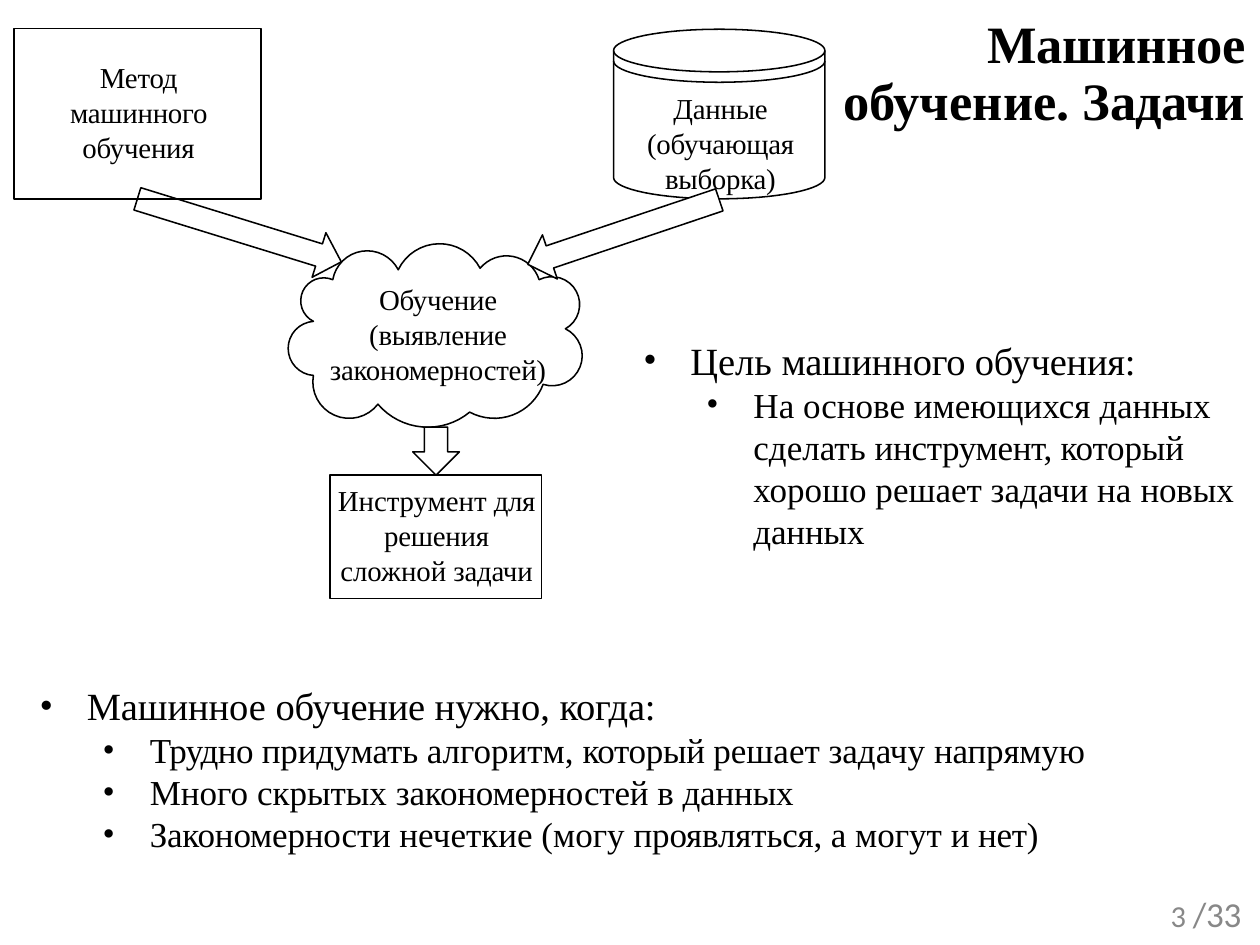
import math
from dataclasses import dataclass

import pptx
import pptx.dml.color
import pptx.enum.shapes
import pptx.enum.text
import pptx.oxml
import pptx.oxml.ns
import pptx.util
from lxml import etree

Cm = pptx.util.Cm
Pt = pptx.util.Pt
Kind = pptx.enum.shapes.MSO_SHAPE
Align = pptx.enum.text.PP_ALIGN
Point = tuple[float, float]

BLACK, WHITE, GREY = "000000", "FFFFFF", "888888"
SERIF = "Times New Roman"
LINE = 0.89


@dataclass
class Run:
    text: str
    space: float = 0
    size: float = 16.5
    font: str = SERIF
    tint: str = BLACK
    bold: bool = False
    raised: int = 0


@dataclass
class Para:
    runs: list[Run]
    left: float = 0.03
    indent: float = 0
    before: float = 0
    lead: float | pptx.util.Length | None = None
    align: Align = Align.LEFT
    level: int = 0
    bullet: bool = False


@dataclass
class Box:
    left: float
    top: float
    width: float
    height: float
    paras: list[Para]
    inset: float = 0.03


@dataclass
class Arrow:
    tail: Point
    tip: Point
    fill: str | None = None


def color(code: str) -> pptx.dml.color.RGBColor:
    return pptx.dml.color.RGBColor.from_string(code)


def style(shape, fill: str | None = None) -> None:
    shape.shadow.inherit = False
    shape.line.color.rgb = color(BLACK)
    shape.line.width = Pt(LINE)
    if fill:
        shape.fill.solid()
        shape.fill.fore_color.rgb = color(fill)
    else:
        shape.fill.background()


def add_run(line, run: Run) -> None:
    item = line.add_run()
    item.text = run.text
    font = item.font
    font.name, font.size, font.bold = run.font, Pt(run.size), run.bold
    font.color.rgb = color(run.tint)
    props = item._r.get_or_add_rPr()
    props.set("spc", str(round(run.space * 100)))
    if run.raised:
        props.set("baseline", str(run.raised))


def write(frame, paras: list[Para], inset: float) -> None:
    frame.word_wrap = True
    frame.vertical_anchor = pptx.enum.text.MSO_ANCHOR.TOP
    frame.margin_left = frame.margin_right = frame.margin_bottom = 0
    frame.margin_top = Cm(inset)
    for index, para in enumerate(paras):
        line = frame.add_paragraph() if index else frame.paragraphs[0]
        line.alignment, line.level = para.align, para.level
        props = line._p.get_or_add_pPr()
        props.set("marL", str(Cm(para.left)))
        props.set("indent", str(Cm(para.indent)))
        if para.bullet:
            face = etree.SubElement(props, pptx.oxml.ns.qn("a:buFont"))
            face.set("typeface", SERIF)
            mark = etree.SubElement(props, pptx.oxml.ns.qn("a:buChar"))
            mark.set("char", "•")
        line.space_before = Pt(para.before)
        if para.lead:
            line.line_spacing = para.lead
        for run in para.runs:
            add_run(line, run)


def add_text(shapes, box: Box) -> None:
    item = shapes.add_textbox(Cm(box.left), Cm(box.top), Cm(box.width), Cm(box.height))
    write(item.text_frame, box.paras, box.inset)


def add_rect(shapes, box: Box) -> None:
    item = shapes.add_shape(
        Kind.RECTANGLE, Cm(box.left), Cm(box.top), Cm(box.width), Cm(box.height))
    style(item)
    if box.paras:
        write(item.text_frame, box.paras, box.inset)


def add_arrow(shapes, arrow: Arrow, depth: float = 0.94) -> None:
    (x1, y1), (x2, y2) = arrow.tail, arrow.tip
    size = math.hypot(x2 - x1, y2 - y1)
    item = shapes.add_shape(
        Kind.RIGHT_ARROW, Cm((x1 + x2 - size) / 2), Cm((y1 + y2 - depth) / 2),
        Cm(size), Cm(depth))
    item.rotation = math.degrees(math.atan2(y2 - y1, x2 - x1))
    style(item, arrow.fill)


def add_path(shapes, paths: list[tuple[list[Point], bool]]) -> None:
    pen = None
    for points, closed in paths:
        first, *rest = [(Cm(x), Cm(y)) for x, y in points]
        if pen:
            pen.move_to(*first)
        else:
            pen = shapes.build_freeform(*first)
        pen.add_line_segments(rest, close=closed)
    style(pen.convert_to_shape())


def bulge(start: Point, end: Point, rise: float, steps: int = 16) -> list[Point]:
    dx, dy = end[0] - start[0], end[1] - start[1]
    chord = math.hypot(dx, dy)
    half = 2 * math.atan(2 * rise / chord)
    radius = chord / (2 * math.sin(half))
    base = radius * math.cos(half)
    points = []
    for step in range(1, steps + 1):
        turn = half * (2 * step / steps - 1)
        along = 0.5 + radius * math.sin(turn) / chord
        out = (radius * math.cos(turn) - base) / chord
        points.append((start[0] + along * dx + out * dy,
                       start[1] + along * dy - out * dx))
    return points


def add_cloud(shapes, lobes: list[tuple[float, float, float]]) -> None:
    points = [lobes[0][:2]]
    for lobe, after in zip(lobes, lobes[1:] + lobes[:1]):
        points += bulge(lobe[:2], after[:2], lobe[2])
    add_path(shapes, [(points, True)])


def add_drum(shapes, mid: float, half: float, rise: float,
             top: float, low: float, gap: float) -> None:
    def curve(level: float, sign: int) -> list[Point]:
        turns = [math.pi * step / 32 for step in range(33)]
        return [(mid - half * math.cos(t), level + sign * rise * math.sin(t))
                for t in turns]

    body = curve(top, -1) + curve(low, 1)[::-1]
    add_path(shapes, [(body, True), (curve(top, 1), False), (curve(top + gap, 1), False)])


def label(text: str) -> list[Para]:
    return [Para([Run(text, -0.1)], before=0.9, lead=1.01, align=Align.CENTER)]


def bullets(rows: list[list[tuple[str, float]]]) -> list[Para]:
    return [Para([Run(text, space, 20 if index else 22) for text, space in row],
                 left=2.26 if index else 0.99, indent=-0.95,
                 before=0.1 if index else 0.9, level=min(index, 1), bullet=True)
            for index, row in enumerate(rows)]


TITLE = Box(16.97, 0.18, 8.23, 2.49, [Para(
    [Run(text, space, 30, bold=True) for text, space in
     [("Машинное ", -0.1), ("обучение. ", 0), ("Задачи", -0.3)]],
    indent=2.9, before=5, lead=Pt(32.4))], 0.18)
METHOD = Box(0.28, 0.58, 4.98, 3.43, [])
TOOL = Box(6.65, 9.58, 4.27, 2.49, [Para(
    [Run("Инструмент "), Run("для ", -0.2), Run("решения ", -0.1),
     Run("сложной "), Run("задачи", -0.1)],
    before=4.2, lead=1.01, align=Align.CENTER)], 0.15)
LABELS = [
    Box(1.32, 1.17, 2.92, 2.18, label("Метод машинного обучения")),
    Box(12.95, 1.8, 3.12, 2.18, label("Данные (обучающая выборка)")),
    Box(6.53, 5.64, 4.57, 2.18, label("Обучение (выявление закономерностей)")),
]
LOBES = [
    (8.03, 5.44, 0.51), (9.68, 5.41, 0.36), (10.87, 5.64, 0.55), (11.4, 6.63, 0.56),
    (10.95, 7.75, 0.36), (9.47, 8.31, 0.38), (7.62, 8.15, 0.56), (6.32, 7.57, 0.51),
    (6.32, 6.48, 0.45), (6.71, 5.64, 0.48),
]
ARROWS = [
    Arrow((2.77, 4.01), (6.88, 5.28)),
    Arrow((14.5, 4.03), (10.64, 5.33), WHITE),
    Arrow((8.79, 8.61), (8.79, 9.58)),
]
NEED = Box(0.76, 13.72, 21.31, 3.56, bullets([
    [("Машинное ", 0), ("обучение ", -0.1), ("нужно, ", 0), ("когда:", -0.1)],
    [("Трудно ", -0.3), ("придумать ", -0.1), ("алгоритм, ", 0), ("который ", -0.2),
     ("решает задачу ", 0), ("напрямую", -0.1)],
    [("Много скрытых ", 0), ("закономерностей ", -0.1), ("в ", 0), ("данных", -0.1)],
    [("Закономерности ", -0.1), ("нечеткие (могу ", 0), ("проявляться, ", -0.1),
     ("а могут и", 0), (" нет)", -0.2)],
]))
GOAL = Box(12.93, 6.76, 11.96, 4.39, bullets([
    [("Цель ", 0), ("машинного обучения:", -0.1)],
    [("На основе имеющихся ", 0), ("данных ", -0.1), ("сделать ", 0),
     ("инструмент, ", -0.2), ("который ", -0.1), ("хорошо решает задачи на ", 0),
     ("новых данных", -0.1)],
]))
PAGE = Box(23.14, 18.19, 1.98, 0.81, [Para(
    [Run("3 ", 0, 30, "Calibri", GREY, raised=1000),
     Run("/33", -0.2, 20, "Calibri", GREY)], left=0.46, lead=Pt(20.6))], 0)


def main() -> None:
    deck = pptx.Presentation()
    deck.slide_width, deck.slide_height = Cm(25.4), Cm(19.05)
    shapes = deck.slides.add_slide(deck.slide_layouts[6]).shapes
    add_text(shapes, TITLE)
    add_rect(shapes, METHOD)
    add_drum(shapes, 14.5, 2.13, 0.43, 1.02, 3.58, 0.21)
    add_cloud(shapes, LOBES)
    for box in LABELS:
        add_text(shapes, box)
    add_rect(shapes, TOOL)
    for arrow in ARROWS:
        add_arrow(shapes, arrow)
    for box in (NEED, PAGE, GOAL):
        add_text(shapes, box)
    deck.save("out.pptx")


if __name__ == "__main__":
    main()
